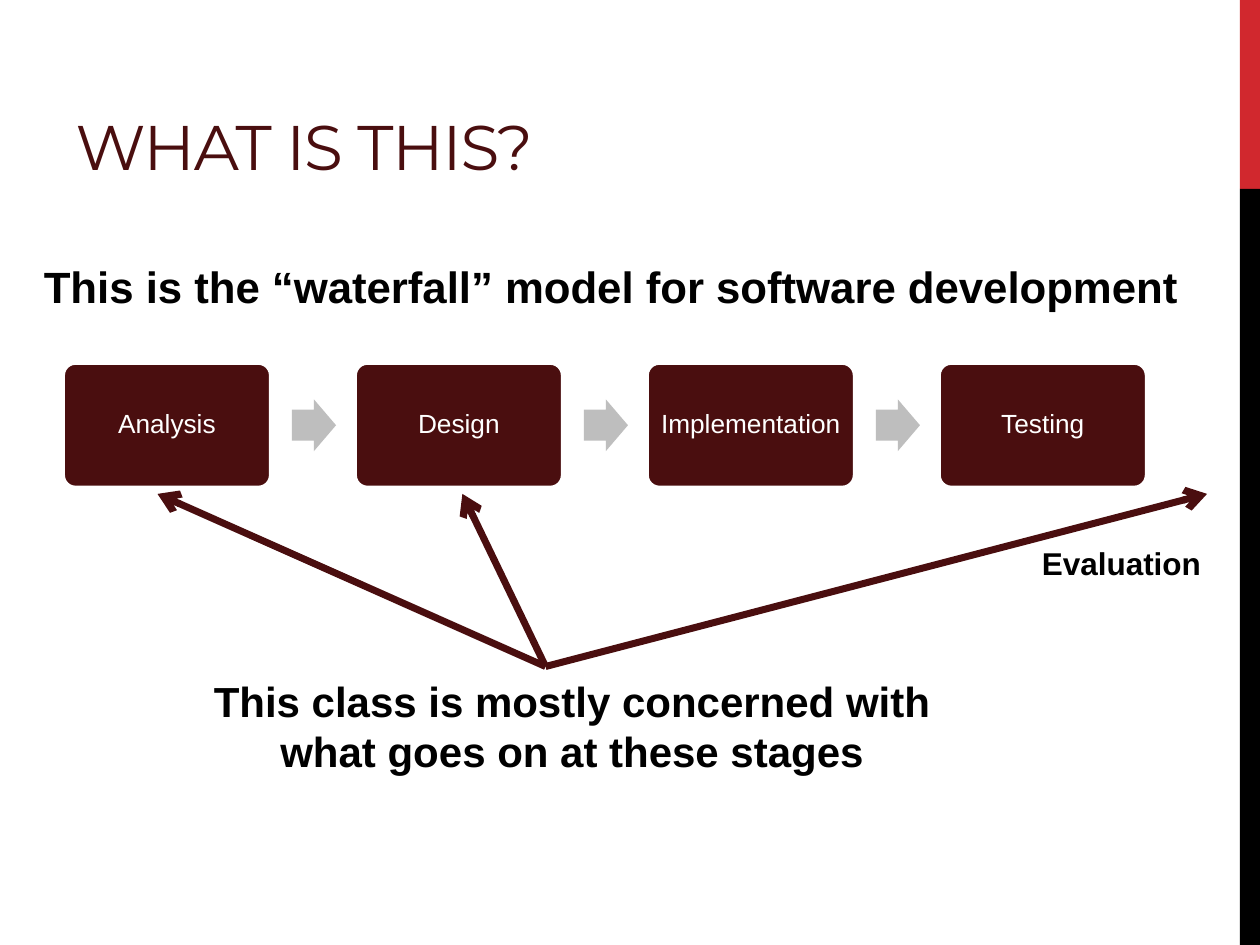
from lxml.etree import SubElement
from pptx import Presentation
from pptx.dml.color import RGBColor
from pptx.enum.shapes import MSO_CONNECTOR, MSO_SHAPE
from pptx.enum.text import MSO_ANCHOR, PP_ALIGN
from pptx.oxml.ns import qn
from pptx.util import Inches, Pt

MAROON, RED, GREY = "4A0E0F", "D1282E", "BEBEBE"
BLACK, WHITE = "000000", "FFFFFF"

STEPS = ["Analysis", "Design", "Implementation", "Testing"]
STEP_LEFT, STEP_TOP, STEP_PITCH = 0.5, 2.88, 2.317
STEP_WIDTH, STEP_HEIGHT = 1.65, 0.99
ARROW_WIDTH, ARROW_HEIGHT = 0.35, 0.41

ARROW_START = (4.33, 5.29)
ARROW_ENDS = [(1.25, 3.92), (3.67, 3.92), (9.58, 3.92)]


def rgb(color):
    return RGBColor.from_string(color)


def style_paragraph(paragraph, size, color, font="Arial", bold=False, align=PP_ALIGN.LEFT):
    paragraph.alignment = align
    paragraph.font.name = font
    paragraph.font.size = Pt(size)
    paragraph.font.bold = bold
    paragraph.font.color.rgb = rgb(color)


def add_block(slide, preset, left, top, width, height, fill):
    block = slide.shapes.add_shape(
        preset, Inches(left), Inches(top), Inches(width), Inches(height))
    block.shadow.inherit = False
    block.fill.solid()
    block.fill.fore_color.rgb = rgb(fill)
    block.line.fill.background()
    return block


def add_title(slide, text):
    title = slide.shapes.title
    title.left, title.top = Inches(0.5), Inches(0.25)
    title.width, title.height = Inches(7.92), Inches(1.25)
    title.text_frame.text = text
    title.text_frame.vertical_anchor = MSO_ANCHOR.BOTTOM
    heading = title.text_frame.paragraphs[0]
    style_paragraph(heading, 36, MAROON, "Montserrat")
    heading.runs[0]._r.get_or_add_rPr().set("spc", "-60")


def add_step(slide, label, left):
    step = add_block(slide, MSO_SHAPE.ROUNDED_RECTANGLE,
                     left, STEP_TOP, STEP_WIDTH, STEP_HEIGHT, MAROON)
    step.adjustments[0] = 0.1
    step.line.color.rgb = rgb(WHITE)
    step.line.width = Pt(2.25)
    frame = step.text_frame
    frame.margin_left = frame.margin_right = Inches(0.06)
    frame.margin_top = frame.margin_bottom = Inches(0.06)
    frame.vertical_anchor = MSO_ANCHOR.MIDDLE
    frame.text = label
    frame.paragraphs[0].line_spacing = 0.9
    style_paragraph(frame.paragraphs[0], 15, WHITE, align=PP_ALIGN.CENTER)


def add_process(slide):
    """Draw the row of steps with a block arrow in each gap."""
    arrow_top = STEP_TOP + (STEP_HEIGHT - ARROW_HEIGHT) / 2
    for index, label in enumerate(STEPS):
        left = STEP_LEFT + index * STEP_PITCH
        if index:
            arrow = add_block(slide, MSO_SHAPE.RIGHT_ARROW, left - 0.5, arrow_top,
                              ARROW_WIDTH, ARROW_HEIGHT, GREY)
            arrow.adjustments[0] = 0.6
        add_step(slide, label, left)


def add_pointer(slide, start, end):
    pointer = slide.shapes.add_connector(
        MSO_CONNECTOR.STRAIGHT, *(Inches(value) for value in start + end))
    pointer.line.color.rgb = rgb(MAROON)
    pointer.line.width = Pt(4)
    SubElement(pointer.line._get_or_add_ln(), qn("a:tailEnd"), type="arrow")
    SubElement(pointer._element.spPr, qn("a:effectLst"))


def add_note(slide, text, left, top, width, height, size, align=PP_ALIGN.LEFT):
    note = slide.shapes.add_textbox(
        Inches(left), Inches(top), Inches(width), Inches(height))
    note.text_frame.word_wrap = True
    note.text_frame.text = text
    style_paragraph(note.text_frame.paragraphs[0], size, BLACK, bold=True, align=align)


def main():
    presentation = Presentation()
    presentation.slide_width, presentation.slide_height = Inches(10), Inches(7.5)
    slide = presentation.slides.add_slide(presentation.slide_layouts[5])

    add_block(slide, MSO_SHAPE.RECTANGLE, 9.84, 0, 0.16, 1.5, RED)
    add_block(slide, MSO_SHAPE.RECTANGLE, 9.84, 1.5, 0.16, 6, BLACK)
    add_title(slide, "WHAT IS THIS?")
    add_process(slide)
    add_note(slide, "This class is mostly concerned with what goes on at these stages",
             1.5, 5.31, 6.08, 0.91, 24, PP_ALIGN.CENTER)
    for end in ARROW_ENDS:
        add_pointer(slide, ARROW_START, end)
    add_note(slide, "Evaluation", 8.17, 4.27, 1.5, 0.4, 18)
    add_note(slide, "This is the “waterfall” model for software development",
             0.25, 2.01, 9.33, 0.52, 25)

    presentation.save("out.pptx")


if __name__ == "__main__":
    main()
